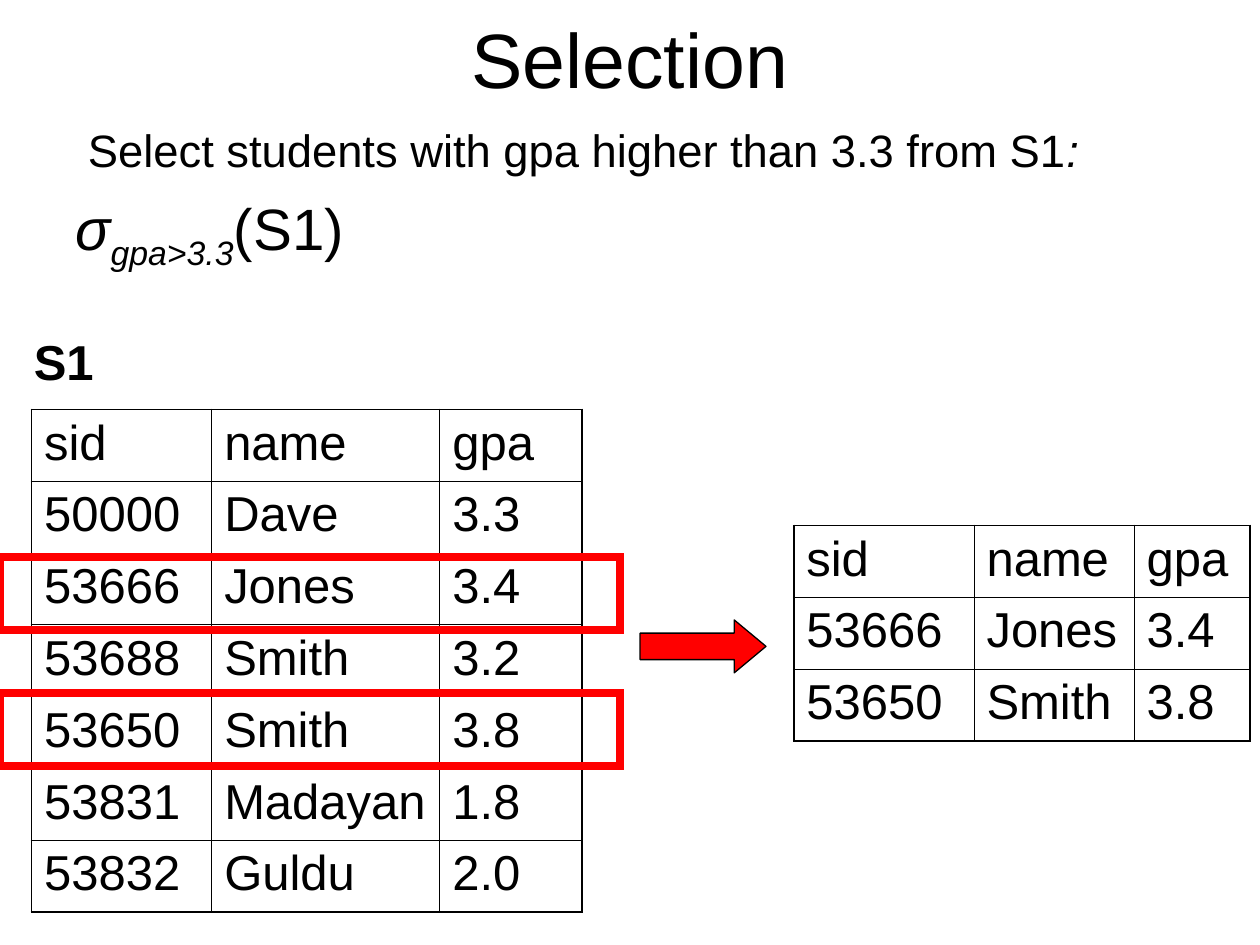
"""Build a slide showing relational selection of students by gpa."""
from dataclasses import dataclass

from lxml import etree
from pptx import Presentation
from pptx.dml.color import RGBColor
from pptx.enum.shapes import MSO_SHAPE
from pptx.enum.text import MSO_ANCHOR, MSO_AUTO_SIZE, PP_ALIGN
from pptx.oxml.ns import qn
from pptx.util import Inches, Pt

BLACK = RGBColor(0x00, 0x00, 0x00)
RED = RGBColor(0xFF, 0x00, 0x00)
RECTANGLE = MSO_SHAPE.RECTANGLE
RIGHT_ARROW = MSO_SHAPE.RIGHT_ARROW
CENTER = PP_ALIGN.CENTER
LEFT = PP_ALIGN.LEFT
MIDDLE = MSO_ANCHOR.MIDDLE
TOP = MSO_ANCHOR.TOP
FIT_SHAPE = MSO_AUTO_SIZE.SHAPE_TO_FIT_TEXT
FIXED_SIZE = MSO_AUTO_SIZE.NONE
FONT = "Arial"
ROW_HEIGHT = 0.57
OUTER_LINE = 1.08
INNER_LINE = 0.45


@dataclass(frozen=True)
class Piece:
    text: str
    italic: bool = False
    baseline: int = 0


@dataclass(frozen=True)
class Line:
    pieces: tuple[Piece, ...]
    size: float
    space_before: float = 0
    align: int = LEFT
    bold: bool = False


@dataclass(frozen=True)
class TextBlock:
    left: float
    top: float
    width: float
    height: float
    lines: tuple[Line, ...]
    anchor: int = TOP
    wrap: bool = True


@dataclass(frozen=True)
class Relation:
    left: float
    top: float
    column_widths: tuple[float, ...]
    rows: tuple[tuple[str, ...], ...]


TEXT_BLOCKS = (
    TextBlock(0.5, -0.17, 9, 1.25,
              (Line((Piece("Selection"),), 44, align=CENTER),), anchor=MIDDLE),
    TextBlock(0.5, 0.92, 8.92, 1.33, (
        Line((Piece(" Select students with gpa higher than 3.3 from S1"),
              Piece(":", italic=True)), 25.9, space_before=7),
        Line((Piece("σ", italic=True), Piece("gpa>3.3", italic=True, baseline=-25000),
              Piece("(S1)")), 33.3, space_before=9),
    )),
    TextBlock(0.17, 2.58, 0.7, 0.57,
              (Line((Piece("S1"),), 28, bold=True),), wrap=False),
)

HEADER = ("sid", "name", "gpa")
JONES = ("53666", "Jones", "3.4")
SMITH = ("53650", "Smith", "3.8")
STUDENTS = Relation(0.25, 3.25, (1.43, 1.81, 1.13), (
    HEADER,
    ("50000", "Dave", "3.3"),
    JONES,
    ("53688", "Smith", "3.2"),
    SMITH,
    ("53831", "Madayan", "1.8"),
    ("53832", "Guldu", "2.0"),
))
SELECTED = Relation(6.3, 4.17, (1.43, 1.27, 0.92), (HEADER, JONES, SMITH))
HIGHLIGHT_TOPS = (4.42, 5.5)


def add_text_block(slide, block: TextBlock) -> None:
    """Add a text box with its formatted lines."""
    box = slide.shapes.add_textbox(Inches(block.left), Inches(block.top),
                                   Inches(block.width), Inches(block.height))
    frame = box.text_frame
    frame.word_wrap = block.wrap
    frame.auto_size = FIXED_SIZE if block.wrap else FIT_SHAPE
    frame.vertical_anchor = block.anchor
    for index, line in enumerate(block.lines):
        paragraph = frame.paragraphs[0] if index == 0 else frame.add_paragraph()
        paragraph.alignment = line.align
        paragraph.space_before = Pt(line.space_before)
        paragraph.font.name = FONT
        paragraph.font.size = Pt(line.size)
        paragraph.font.bold = line.bold
        paragraph.font.color.rgb = BLACK
        for piece in line.pieces:
            run = paragraph.add_run()
            run.text = piece.text
            if piece.italic:
                run.font.italic = True
            if piece.baseline:
                run._r.get_or_add_rPr().set("baseline", str(piece.baseline))


def set_borders(cell, widths: dict[str, float]) -> None:
    """Give a cell solid black borders of the given widths in points."""
    properties = cell._tc.get_or_add_tcPr()
    for position, (side, width) in enumerate(widths.items()):
        border = etree.Element(qn(f"a:ln{side}"), w=str(Pt(width)))
        fill = etree.SubElement(border, qn("a:solidFill"))
        etree.SubElement(fill, qn("a:srgbClr"), val=str(BLACK))
        properties.insert(position, border)


def add_relation(slide, relation: Relation) -> None:
    """Add a table with a heavier outer frame."""
    row_count, column_count = len(relation.rows), len(relation.column_widths)
    table = slide.shapes.add_table(
        row_count, column_count, Inches(relation.left), Inches(relation.top),
        Inches(sum(relation.column_widths)), Inches(ROW_HEIGHT * row_count)).table
    table.first_row = False
    table.horz_banding = False
    for column, width in zip(table.columns, relation.column_widths):
        column.width = Inches(width)
    for row_index, values in enumerate(relation.rows):
        table.rows[row_index].height = Inches(ROW_HEIGHT)
        for column_index, value in enumerate(values):
            cell = table.cell(row_index, column_index)
            cell.text = value
            cell.fill.background()
            paragraph = cell.text_frame.paragraphs[0]
            paragraph.space_before = Pt(7)
            paragraph.font.name = FONT
            paragraph.font.size = Pt(28)
            paragraph.font.color.rgb = BLACK
            outer = {"L": column_index == 0, "R": column_index == column_count - 1,
                     "T": row_index == 0, "B": row_index == row_count - 1}
            set_borders(cell, {side: OUTER_LINE if edge else INNER_LINE
                               for side, edge in outer.items()})


def add_highlight(slide, top: float) -> None:
    """Add a red frame with square corners around a selected row."""
    frame = slide.shapes.add_shape(RECTANGLE, Inches(0), Inches(top),
                                   Inches(4.92), Inches(0.58))
    frame.shadow.inherit = False
    frame.fill.background()
    frame.line.color.rgb = RED
    frame.line.width = Pt(4.5)
    outline = frame.line._get_or_add_ln()
    etree.SubElement(outline, qn("a:miter"), lim="800000")


def add_arrow(slide) -> None:
    """Add the red arrow leading to the result."""
    arrow = slide.shapes.add_shape(RIGHT_ARROW, Inches(5.08), Inches(4.92),
                                   Inches(1), Inches(0.42))
    arrow.shadow.inherit = False
    arrow.adjustments[0] = 0.5
    arrow.adjustments[1] = 0.6
    arrow.fill.solid()
    arrow.fill.fore_color.rgb = RED
    arrow.line.color.rgb = BLACK
    arrow.line.width = Pt(0.75)


def main() -> None:
    """Assemble and save the slide."""
    presentation = Presentation()
    presentation.slide_width = Inches(10)
    presentation.slide_height = Inches(7.5)
    slide = presentation.slides.add_slide(presentation.slide_layouts[6])
    for block in TEXT_BLOCKS:
        add_text_block(slide, block)
    add_relation(slide, STUDENTS)
    for top in HIGHLIGHT_TOPS:
        add_highlight(slide, top)
    add_relation(slide, SELECTED)
    add_arrow(slide)
    presentation.save("out.pptx")


main()
